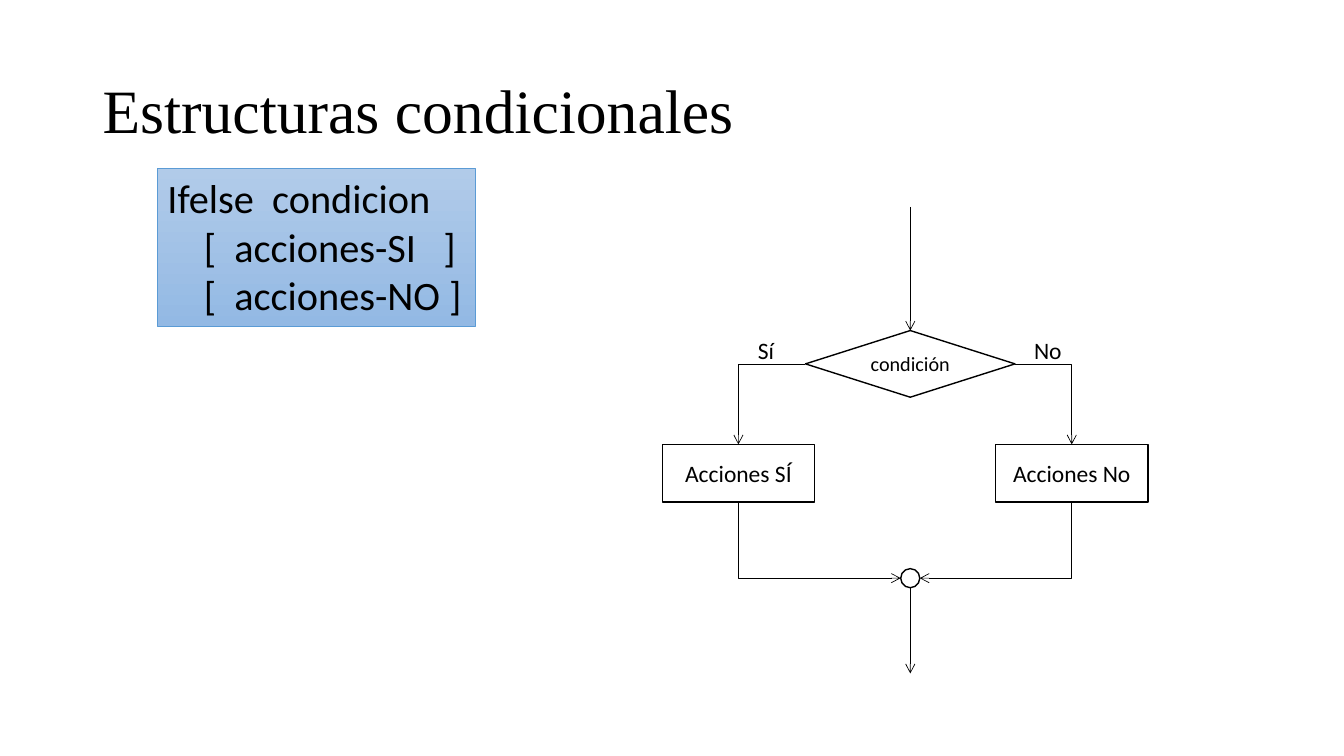
from pptx import Presentation
from pptx.dml.color import RGBColor
from pptx.enum.shapes import MSO_CONNECTOR, MSO_SHAPE
from pptx.enum.text import MSO_ANCHOR, MSO_AUTO_SIZE, PP_ALIGN
from pptx.oxml.ns import qn
from pptx.util import Cm, Pt
from lxml import etree

BLACK = RGBColor(0x00, 0x00, 0x00)
WHITE = RGBColor(0xFF, 0xFF, 0xFF)
BLUE_LINE = RGBColor(0x5B, 0x9B, 0xD5)
BLUE_TOP = RGBColor(0xB1, 0xCB, 0xE9)
BLUE_BOTTOM = RGBColor(0x93, 0xB9, 0xE4)
LEFT, CENTER = PP_ALIGN.LEFT, PP_ALIGN.CENTER
TOP, MIDDLE = MSO_ANCHOR.TOP, MSO_ANCHOR.MIDDLE
DECISION = MSO_SHAPE.FLOWCHART_DECISION
PROCESS = MSO_SHAPE.FLOWCHART_PROCESS
JUNCTION = MSO_SHAPE.FLOWCHART_CONNECTOR
STRAIGHT, ELBOW = MSO_CONNECTOR.STRAIGHT, MSO_CONNECTOR.ELBOW
SITE_TOP, SITE_LEFT, SITE_BOTTOM, SITE_RIGHT = range(4)


def write(shape, lines, size, name="Calibri", align=LEFT, anchor=TOP, wrap=True):
    tf = shape.text_frame
    tf.word_wrap = wrap
    tf.vertical_anchor = anchor
    tf.text = "\n".join(lines)
    font_format = {"size": Pt(size), "name": name}
    for p in tf.paragraphs:
        p.alignment = align
        for r in p.runs:
            r.font.color.rgb = BLACK
            for key, value in font_format.items():
                setattr(r.font, key, value)


def add_title(s, x, y, w, h):
    title = s.shapes.title
    box = {"left": x, "top": y, "width": w, "height": h}
    for key, value in box.items():
        setattr(title, key, Cm(value))
    write(title, ["Estructuras condicionales"], 44, "Times New Roman", anchor=MIDDLE)
    title.text_frame.paragraphs[0].line_spacing = 0.9


def add_code(s, x, y, w, h):
    sp = s.shapes.add_shape(MSO_SHAPE.RECTANGLE, Cm(x), Cm(y), Cm(w), Cm(h))
    sp.shadow.inherit = False
    sp.fill.gradient()
    sp.fill.gradient_angle = 270
    for stop, color, position in zip(sp.fill.gradient_stops, (BLUE_TOP, BLUE_BOTTOM), (0, 1)):
        stop.color.rgb = color
        stop.position = position
    sp.line.color.rgb = BLUE_LINE
    sp.line.width = Pt(0.5)
    code = ["Ifelse  condicion", "    [  acciones-SI   ]", "    [  acciones-NO ]"]
    write(sp, code, 28.8, wrap=False)
    sp.text_frame.auto_size = MSO_AUTO_SIZE.SHAPE_TO_FIT_TEXT


def add_node(s, kind, x, y, w, h, text="", size=16.8):
    node = s.shapes.add_shape(kind, Cm(x), Cm(y), Cm(w), Cm(h))
    node.shadow.inherit = False
    node.fill.solid()
    node.fill.fore_color.rgb = WHITE
    node.line.color.rgb = BLACK
    node.line.width = Pt(1)
    if text:
        write(node, [text], size, align=CENTER, anchor=MIDDLE)
    return node


def add_label(s, x, y, w, h, text):
    label = s.shapes.add_textbox(Cm(x), Cm(y), Cm(w), Cm(h))
    write(label, [text], 16.8, wrap=False)
    label.text_frame.auto_size = MSO_AUTO_SIZE.SHAPE_TO_FIT_TEXT


def add_arrow(s, kind, x1, y1, x2, y2, arrow_end="tailEnd"):
    """Draw an arrow; an elbow runs sideways first, then up or down."""
    arrow = s.shapes.add_connector(kind, Cm(x1), Cm(y1), Cm(x2), Cm(y2))
    arrow.line.color.rgb = BLACK
    arrow.line.width = Pt(0.5)
    spPr = arrow._element.spPr
    if kind == ELBOW:
        spPr.find(qn("a:prstGeom")).set("prst", "bentConnector2")
    etree.SubElement(spPr.find(qn("a:ln")), qn(f"a:{arrow_end}"), type="arrow")
    etree.SubElement(spPr, qn("a:effectLst"))
    return arrow


def add_flowchart(s, x, y, w, h):
    axis = x + 6.25
    decision_w, decision_h, decision_y = 5.28, 1.68, y + 3.12
    action_w, action_h, action_y = 3.84, 1.45, y + 5.99
    diameter, junction_y = 0.48, y + 9.36
    branch_y = decision_y + decision_h / 2

    decision = add_node(s, DECISION, axis - decision_w / 2, decision_y,
                        decision_w, decision_h, "condición", 14.4)
    add_node(s, JUNCTION, axis - diameter / 2, junction_y - diameter / 2, diameter, diameter)

    branches = [
        (-1, x, "Acciones SÍ", SITE_LEFT, "Sí", x + 2.16, 0.91),
        (1, x + w - action_w, "Acciones No", SITE_RIGHT, "No", x + 9.12, 1.22),
    ]
    for side, action_x, text, site, answer, answer_x, answer_w in branches:
        action = add_node(s, PROCESS, action_x, action_y, action_w, action_h, text)
        middle = action_x + action_w / 2
        down = add_arrow(s, ELBOW, axis + side * decision_w / 2, branch_y, middle, action_y)
        down.begin_connect(decision, site)
        down.end_connect(action, SITE_TOP)
        back = add_arrow(s, ELBOW, axis + side * diameter / 2, junction_y,
                         middle, action_y + action_h, "headEnd")
        back.end_connect(action, SITE_BOTTOM)
        add_label(s, answer_x, decision_y, answer_w, 0.97, answer)

    entry = add_arrow(s, STRAIGHT, axis, y, axis, decision_y)
    entry.end_connect(decision, SITE_TOP)
    add_arrow(s, STRAIGHT, axis, junction_y + diameter / 2, axis, y + h)


def main():
    prs = Presentation()
    prs.slide_width, prs.slide_height = Cm(33.87), Cm(19.05)
    s = prs.slides.add_slide(prs.slide_layouts[5])
    add_title(s, 2.33, 1.01, 29.21, 3.68)
    add_code(s, 3.97, 4.25, 8.01, 3.97)
    add_flowchart(s, 16.69, 5.21, 12.24, 11.76)
    prs.save("out.pptx")


if __name__ == "__main__":
    main()
